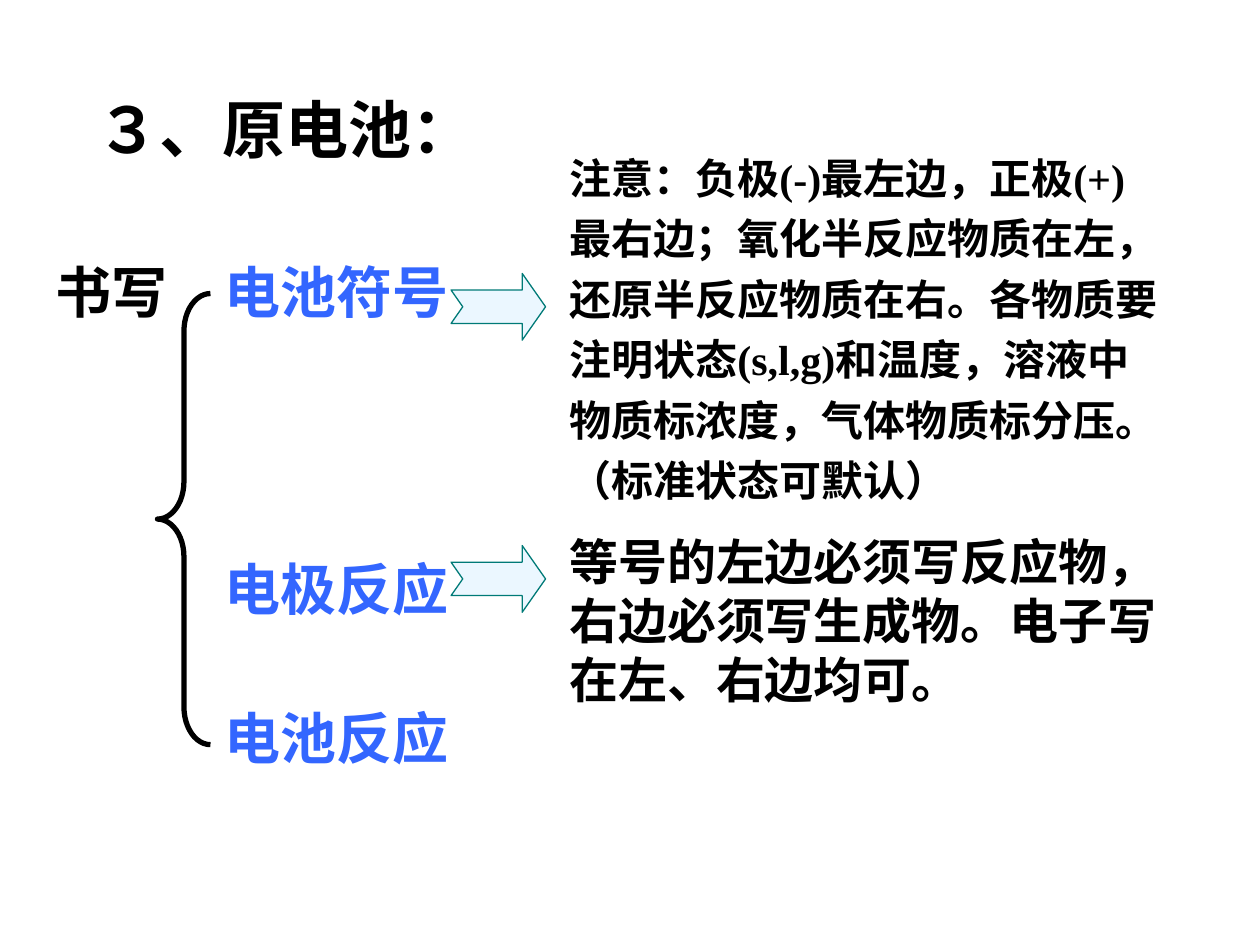
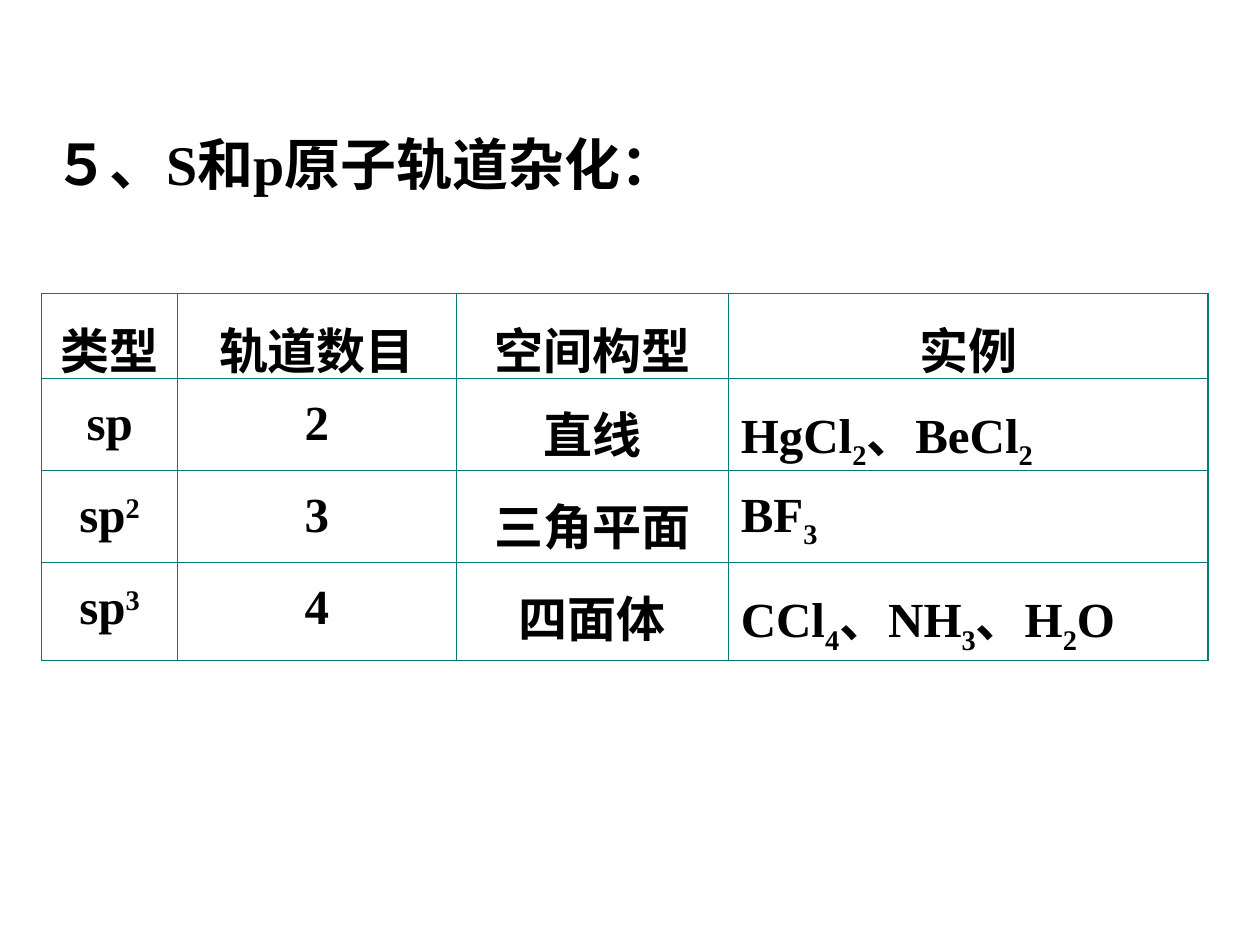
from dataclasses import dataclass
from itertools import groupby
from typing import NamedTuple

from lxml.etree import SubElement
from pptx import Presentation
from pptx.dml.color import RGBColor
from pptx.enum.shapes import MSO_SHAPE as Preset
from pptx.enum.text import MSO_ANCHOR as Anchor, PP_ALIGN as Align
from pptx.oxml.ns import qn
from pptx.util import Inches, Pt


@dataclass(frozen=True)
class Theme:
    black: RGBColor = RGBColor(0, 0, 0)
    blue: RGBColor = RGBColor(0x33, 0x66, 0xFF)
    teal: RGBColor = RGBColor(0x00, 0x7A, 0x77)
    pale: RGBColor = RGBColor(0xEB, 0xF7, 0xFF)
    sans: str = "Arial"
    serif: str = "Times New Roman"
    heading: int = 36
    label: int = 32
    body: int = 28
    note: int = 24
    thin: float = 0.45
    frame: float = 1.08


THEME = Theme()
SUBSCRIPT, SUPERSCRIPT = -25000, 30000


class Span(NamedTuple):
    text: str
    baseline: int = 0


class TextBox(NamedTuple):
    text: str
    left: float
    top: float
    width: float
    height: float
    size: int
    font: str = THEME.sans
    color: RGBColor = THEME.black
    anchor: Anchor = Anchor.TOP
    line_spacing: float = 1.0
    top_margin: float = 0.05


class Figure(NamedTuple):
    preset: Preset
    left: float
    top: float
    width: float
    height: float
    adjustments: tuple[float, ...]
    line: RGBColor
    weight: float
    fill: RGBColor | None = None


LABEL_LEFT, LABEL_HEIGHT = 1.68, 0.7
FIRST_LABEL_TOP, LINE_PITCH = 1.96, 0.59


def label(text: str, line: int, left: float = LABEL_LEFT, width: float = 2.1,
          color: RGBColor = THEME.blue) -> TextBox:
    """Describe a label that sits on the given line of the outline."""
    return TextBox(text, left, FIRST_LABEL_TOP + line * LINE_PITCH, width,
                   LABEL_HEIGHT, THEME.label, color=color, anchor=Anchor.MIDDLE)


def arrow(top: float) -> Figure:
    return Figure(Preset.NOTCHED_RIGHT_ARROW, 3.58, top, 0.75, 0.53, (0.5, 0.35),
                  THEME.teal, 0.75, THEME.pale)


CELL_TEXTS = [
    TextBox("３、原电池：", 0.67, 0.67, 4, 0.7, THEME.heading),
    label("书写", 0, left=0.34, width=1.2, color=THEME.black),
    label("电池符号", 0),
    label("电极反应", 4),
    label("电池反应", 6),
    TextBox("注意：负极(-)最左边，正极(+)最右边；氧化半反应物质在左，还原半反应物质在右。"
            "各物质要注明状态(s,l,g)和温度，溶液中物质标浓度，气体物质标分压。（标准状态可默认）",
            4.42, 1, 4.92, 2.98, THEME.note, THEME.serif,
            line_spacing=1.2, top_margin=0.13),
    TextBox("等号的左边必须写反应物，右边必须写生成物。电子写在左、右边均可。",
            4.42, 4.17, 5, 1.5, THEME.body),
]
CELL_FIGURES = [
    arrow(2.17),
    arrow(4.33),
    Figure(Preset.LEFT_BRACE, 1.25, 2.33, 0.42, 3.58, (0.71, 0.5), THEME.black, 3),
]

ORBITAL_TITLE = TextBox("５、S和p原子轨道杂化：", 0.33, 0.67, 9.34, 1.25, THEME.label,
                        THEME.serif, anchor=Anchor.MIDDLE)
ORBITAL_ROWS = [
    ("类型", "轨道数目", "空间构型", "实例"),
    ("sp", "2", "直线", "HgCl2、BeCl2"),
    ("sp2", "3", "三角平面", "BF3"),
    ("sp3", "4", "四面体", "CCl4、NH3、H2O"),
]
COLUMN_WIDTHS = (1.08, 2.21, 2.16, 3.81)
ROW_HEIGHTS = (0.67, 0.71, 0.71, 0.78)
TYPE_COLUMN, EXAMPLE_COLUMN = 0, 3


def split_digits(text: str, baseline: int) -> list[Span]:
    """Raise or lower the digits of a formula."""
    return [Span("".join(chars), baseline if digits else 0)
            for digits, chars in groupby(text, str.isdigit)]


def add_spans(para, spans: list[Span], size: int, font: str, color: RGBColor) -> None:
    for span in spans:
        run = para.add_run()
        run.text = span.text
        run.font.size, run.font.name, run.font.bold = Pt(size), font, True
        run.font.color.rgb = color
        if span.baseline:
            run._r.get_or_add_rPr().set("baseline", str(span.baseline))


def add_text(page, item: TextBox) -> None:
    box = page.shapes.add_textbox(Inches(item.left), Inches(item.top),
                                  Inches(item.width), Inches(item.height))
    frame = box.text_frame
    frame.word_wrap = True
    frame.vertical_anchor = item.anchor
    frame.margin_top = Inches(item.top_margin)
    para = frame.paragraphs[0]
    para.line_spacing = item.line_spacing
    add_spans(para, [Span(item.text)], item.size, item.font, item.color)


def add_figure(page, item: Figure) -> None:
    shape = page.shapes.add_shape(item.preset, Inches(item.left), Inches(item.top),
                                  Inches(item.width), Inches(item.height))
    shape.shadow.inherit = False
    for index, value in enumerate(item.adjustments):
        shape.adjustments[index] = value
    if item.fill is None:
        shape.fill.background()
    else:
        shape.fill.solid()
        shape.fill.fore_color.rgb = item.fill
    shape.line.color.rgb = item.line
    shape.line.width = Pt(item.weight)


def set_borders(cell, outer: dict[str, bool]) -> None:
    """Draw each side of a cell, heavier where it lies on the table's frame."""
    properties = cell._tc.get_or_add_tcPr()
    for side, is_outer in outer.items():
        weight = THEME.frame if is_outer else THEME.thin
        line = SubElement(properties, qn(f"a:ln{side}"), w=str(Pt(weight)))
        fill = SubElement(line, qn("a:solidFill"))
        SubElement(fill, qn("a:srgbClr"), val=str(THEME.teal))


def add_orbital_table(page) -> None:
    table = page.shapes.add_table(
        len(ROW_HEIGHTS), len(COLUMN_WIDTHS), Inches(0.33), Inches(2.33),
        Inches(sum(COLUMN_WIDTHS)), Inches(sum(ROW_HEIGHTS))).table
    table.first_row = table.horz_banding = False
    for column, width in zip(table.columns, COLUMN_WIDTHS):
        column.width = Inches(width)
    for row, height in zip(table.rows, ROW_HEIGHTS):
        row.height = Inches(height)

    last_row, last_column = len(ROW_HEIGHTS) - 1, len(COLUMN_WIDTHS) - 1
    for r, texts in enumerate(ORBITAL_ROWS):
        for c, text in enumerate(texts):
            cell = table.cell(r, c)
            set_borders(cell, {"L": c == 0, "R": c == last_column,
                               "T": r == 0, "B": r == last_row})
            cell.fill.background()
            cell.margin_top = Inches(0.15)
            para = cell.text_frame.paragraphs[0]
            is_example = r > 0 and c == EXAMPLE_COLUMN
            para.alignment = Align.LEFT if is_example else Align.CENTER
            baseline = {TYPE_COLUMN: SUPERSCRIPT, EXAMPLE_COLUMN: SUBSCRIPT}.get(c, 0)
            add_spans(para, split_digits(text, baseline),
                      THEME.body, THEME.serif, THEME.black)


def main() -> None:
    deck = Presentation()
    deck.slide_width, deck.slide_height = Inches(10), Inches(7.5)
    blank = deck.slide_layouts[6]

    cell_page = deck.slides.add_slide(blank)
    for text in CELL_TEXTS:
        add_text(cell_page, text)
    for figure in CELL_FIGURES:
        add_figure(cell_page, figure)

    orbital_page = deck.slides.add_slide(blank)
    add_text(orbital_page, ORBITAL_TITLE)
    add_orbital_table(orbital_page)

    deck.save("out.pptx")


if __name__ == "__main__":
    main()
